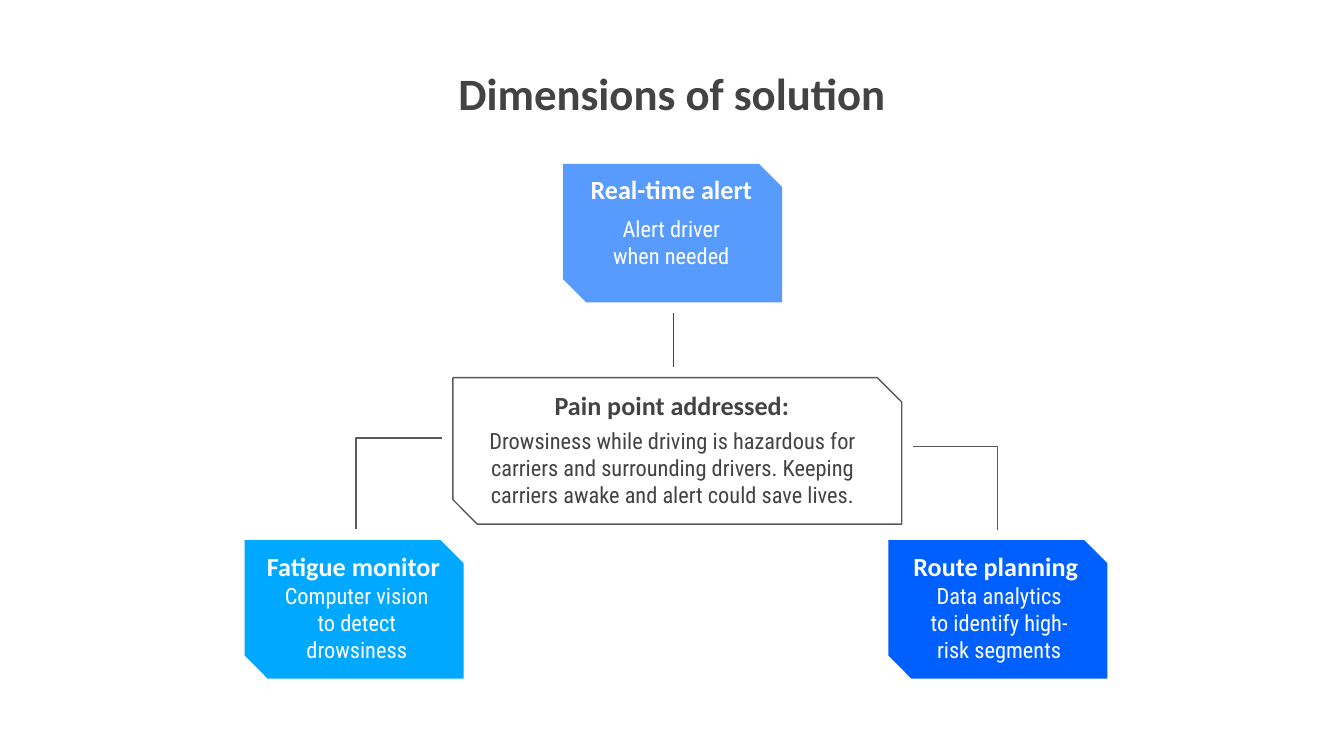
from lxml.etree import SubElement
from pptx import Presentation
from pptx.dml.color import RGBColor
from pptx.enum.shapes import MSO_CONNECTOR as LINK, MSO_SHAPE as SHAPE
from pptx.enum.text import MSO_ANCHOR as ANCHOR, PP_ALIGN as ALIGN
from pptx.oxml.ns import qn
from pptx.util import Inches, Pt

WHITE = RGBColor(0xFF, 0xFF, 0xFF)
DARK = RGBColor(0x43, 0x43, 0x43)
GREY = RGBColor(0x59, 0x59, 0x59)
SKY = RGBColor(0x00, 0xA9, 0xFF)
BLUE = RGBColor(0x00, 0x5F, 0xFF)
SOFT = RGBColor(0x58, 0x9B, 0xFF)

TITLE = {"name": "Calibri", "size": Pt(24), "bold": True}
HEAD = {"name": "Calibri", "size": Pt(14), "bold": True}
BODY = {"name": "Roboto Condensed", "size": Pt(12), "bold": False}

deck = Presentation()
deck.slide_width = Inches(10)
deck.slide_height = Inches(10 * 9 / 16)
slide = deck.slides.add_slide(deck.slide_layouts[6])
shapes = slide.shapes


def add_text(text, place, style, color, anchor=ANCHOR.TOP):
    frame = shapes.add_textbox(*map(Inches, place)).text_frame
    frame.word_wrap = True
    frame.vertical_anchor = anchor
    for side in ("left", "right", "top", "bottom"):
        setattr(frame, f"margin_{side}", Inches(0.1))
    para = frame.paragraphs[0]
    para.alignment = ALIGN.CENTER
    run = para.add_run()
    run.text = text
    for key, value in style.items():
        setattr(run.font, key, value)
    run.font.color.rgb = color


add_text("Dimensions of solution", (2.15, 0.39, 5.7, 1.03), TITLE, DARK)

# Card place, fill, text colour, then heading and body with their places
cards = [
    ((1.82, 4.02, 1.63, 1.03), SKY, WHITE,
     "Fatigue monitor", (1.69, 4, 1.88, 0.43),
     "Computer vision to detect drowsiness", (2.02, 4.23, 1.27, 0.68)),
    ((6.61, 4.02, 1.63, 1.03), BLUE, WHITE,
     "Route planning", (6.51, 4, 1.8, 0.43),
     "Data analytics to identify high-risk segments", (6.8, 4.23, 1.27, 0.68)),
    ((3.37, 2.81, 3.34, 1.09), None, DARK,
     "Pain point addressed:", (3.9, 2.8, 2.2, 0.43),
     "Drowsiness while driving is hazardous for carriers and surrounding "
     "drivers. Keeping carriers awake and alert could save lives.",
     (3.49, 3.08, 3.03, 0.9)),
    ((4.19, 1.22, 1.63, 1.03), SOFT, WHITE,
     "Real-time alert", (4.15, 1.19, 1.69, 0.43),
     "Alert driver when needed", (4.36, 1.5, 1.27, 0.68)),
]
for place, fill, color, head, head_at, body, body_at in cards:
    card = shapes.add_shape(SHAPE.SNIP_2_DIAG_RECTANGLE, *map(Inches, place))
    card.shadow.inherit = False
    card.adjustments[0], card.adjustments[1] = 0, 0.167
    if fill is None:
        card.fill.background()
        card.line.color.rgb = GREY
        card.line.width = Pt(0.75)
    else:
        card.fill.solid()
        card.fill.fore_color.rgb = fill
        card.line.fill.background()
    add_text(head, head_at, HEAD, color, ANCHOR.BOTTOM)
    add_text(body, body_at, BODY, color)

# Links from the centre card to the three others
links = [
    (LINK.STRAIGHT, (5.01, 2.33, 5.01, 2.73), DARK),
    (LINK.ELBOW, (3.29, 3.26, 2.65, 3.94), GREY),
    (LINK.ELBOW, (6.79, 3.32, 7.42, 3.94), GREY),
]
for kind, ends, color in links:
    link = shapes.add_connector(kind, *map(Inches, ends))
    link.line.color.rgb = color
    link.line.width = Pt(0.75)
    props = link._element.spPr
    SubElement(props, qn("a:effectLst"))
    if kind == LINK.ELBOW:
        # Bend at the far end: one level run, then straight down
        guides = props.find(qn("a:prstGeom")).find(qn("a:avLst"))
        SubElement(guides, qn("a:gd"), name="adj1", fmla="val 100000")

deck.save("out.pptx")
